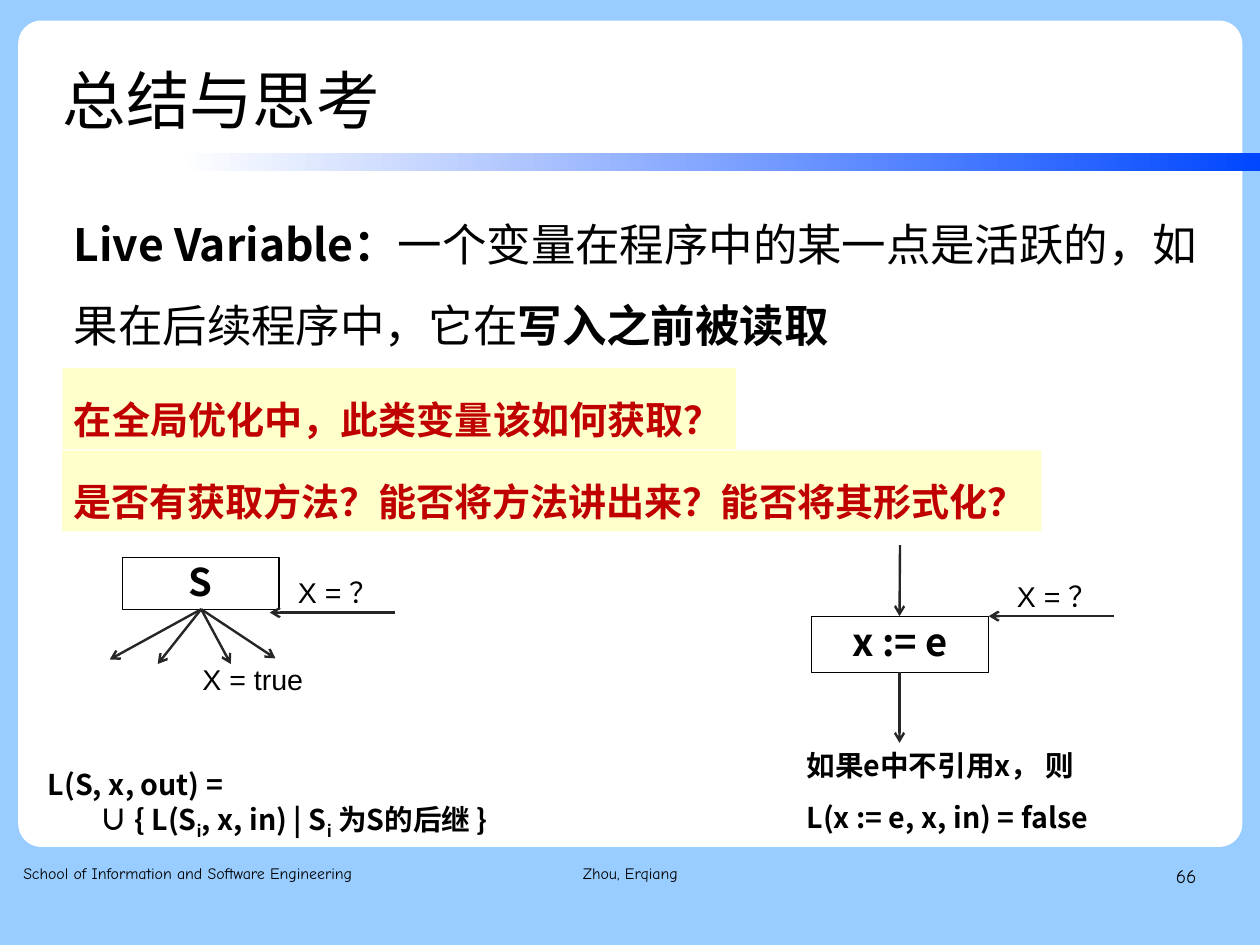
from lxml.etree import SubElement as Sub
from pptx import Presentation
from pptx.dml.color import RGBColor as Rgb
from pptx.enum.shapes import MSO_CONNECTOR as Link, MSO_SHAPE as Kind
from pptx.enum.text import MSO_ANCHOR as Anchor, MSO_AUTO_SIZE as Auto, PP_ALIGN as Align
from pptx.oxml.ns import qn
from pptx.util import Cm, Pt

HUES = {"sky": "99CCFF", "white": "FFFFFF", "blue": "0047FF", "black": "000000",
        "cream": "FFFFCC", "red": "C00000", "ink": "262626"}
HUE = {name: Rgb.from_string(code) for name, code in HUES.items()}
CJK, SANS, HAND = "Noto Sans CJK SC", "Arial", "Comic Neue"

deck = Presentation()
deck.slide_width, deck.slide_height = Cm(28), Cm(21)
COLS = 100
UNIT = deck.slide_width / COLS
slide = deck.slides.add_slide(deck.slide_layouts[6])
slide.background.fill.solid()
slide.background.fill.fore_color.rgb = HUE["sky"]
shapes = slide.shapes


def panel(area, fill, kind=Kind.RECTANGLE, line=None):
    shape = shapes.add_shape(kind, *[round(n * UNIT) for n in area])
    shape.shadow.inherit = False
    shape.fill.solid()
    shape.fill.fore_color.rgb = HUE[fill]
    if line:
        shape.line.color.rgb = HUE[line]
        shape.line.width = Pt(0.75)
    else:
        shape.line.fill.background()
    return shape


def write(spot, rows, size, face=CJK, bold=False, lead=0.93, align=Align.LEFT,
          hue="black", anchor=Anchor.TOP, wrap=True, grow=True, flush=False):
    if isinstance(spot, tuple):
        spot = shapes.add_textbox(*[round(n * UNIT) for n in spot])
    frame = spot.text_frame
    frame.word_wrap = wrap
    frame.vertical_anchor = anchor
    frame.auto_size = Auto.SHAPE_TO_FIT_TEXT if grow else Auto.NONE
    if flush:
        frame.margin_left = frame.margin_right = frame.margin_top = frame.margin_bottom = 0
    for i, row in enumerate(rows):
        para = frame.add_paragraph() if i else frame.paragraphs[0]
        para.alignment, para.line_spacing = align, lead
        font = para.font
        font.size, font.name, font.bold = Pt(size), face, bold
        font.color.rgb = HUE[hue]
        Sub(font._element, qn("a:ea")).set("typeface", face)
        for part in [row] if isinstance(row, str) else row:
            para.add_run().text = part
    return frame


card = panel((1.45, 1.63, 97.15, 65.59), "white", Kind.ROUNDED_RECTANGLE)
card.adjustments[0] = 0.028
bar = panel((14.25, 12.16, 85.75, 1.45), "blue")
bar.fill.gradient()
bar.fill.gradient_angle = 0
for stop, name in zip(bar.fill.gradient_stops, ("white", "blue")):
    stop.color.rgb = HUE[name]

for x, w, words, size, align in [
        (1.85, 30.25, "School of Information and Software Engineering", 10, Align.LEFT),
        (71.66, 23.3, "66", 12, Align.RIGHT),
        (34.2, 31.65, "Zhou, Erqiang", 10, Align.CENTER)]:
    write((x, 68.29, w, 5.17), [words], size, HAND, lead=1.16, align=align,
          grow=False, flush=True)

write((4.97, 3, 77.85, 9.16), ["总结与思考"], 40, lead=1.1,
      anchor=Anchor.MIDDLE, grow=False, flush=True)

body = write((4.97, 14.7, 91.6, 13.7),
             [["Live Variable：", "一个变量在程序中的某一点是活跃的，如果在后续程序中，它在",
               "写入之前被读取"]], 28, lead=1.5)
body.paragraphs[0].space_after = Pt(14.2)
for run in body.paragraphs[0].runs[::2]:
    run.font.bold = True

for area, words in [
        ((9.7, 44.27, 12.45, 4.08), "S"),
        ((64.39, 48.9, 14.08, 4.45), "x := e")]:
    write(panel(area, "white", line="black"), [words], 24, bold=True,
          align=Align.CENTER, anchor=Anchor.MIDDLE, grow=False)

for area, words in [
        ((4.98, 29.21, 53.43, 6.44), "在全局优化中，此类变量该如何获取？"),
        ((4.92, 35.74, 77.74, 6.44), "是否有获取方法？能否将方法讲出来？能否将其形式化？")]:
    write(panel(area, "cream"), [words], 24, bold=True, lead=1.5, hue="red", wrap=False)

for x, y, words in [(15.17, 52.32, "X = true"), (79.81, 45.72, "X = ？"),
                    (22.76, 45.45, "X = ？")]:
    write((x, y, 11.43, 3.45), [words], 18, SANS)

union = write((2.9, 60.65, 49.8, 6),
              ["L(S, x, out) =", ["∪ { L(S", "i", ", x, in) | S", "i", " 为S的后继 }"]],
              18, bold=True).paragraphs[1]
union._p.get_or_add_pPr().set("marL", str(round(4.08 * UNIT)))
for run in union.runs[1::2]:
    run.font._element.set("baseline", "-25000")

write((63.12, 57.58, 30.48, 9.16), ["如果e中不引用x， 则", "L(x := e, x, in) = false"],
      18, bold=True, lead=1.5, wrap=False)

fan = [(15.97, 48.35, x, y) for x, y in
       [(8.71, 52.34), (12.52, 52.7), (18.32, 52.7), (21.86, 52.25)]]
flow = [(88.43, 48.9, 78.47, 48.9), (31.37, 48.62, 21.41, 48.62),
        (71.43, 43.27, 71.39, 48.9), (71.39, 53.34, 71.39, 58.96)]
for ends in fan + flow:
    arrow = shapes.add_connector(Link.STRAIGHT, *[round(n * UNIT) for n in ends])
    arrow.line.color.rgb = HUE["ink"]
    arrow.line.width = Pt(1.5)
    Sub(arrow.line._get_or_add_ln(), qn("a:tailEnd")).set("type", "arrow")
    Sub(arrow._element.spPr, qn("a:effectLst"))

deck.save("out.pptx")
